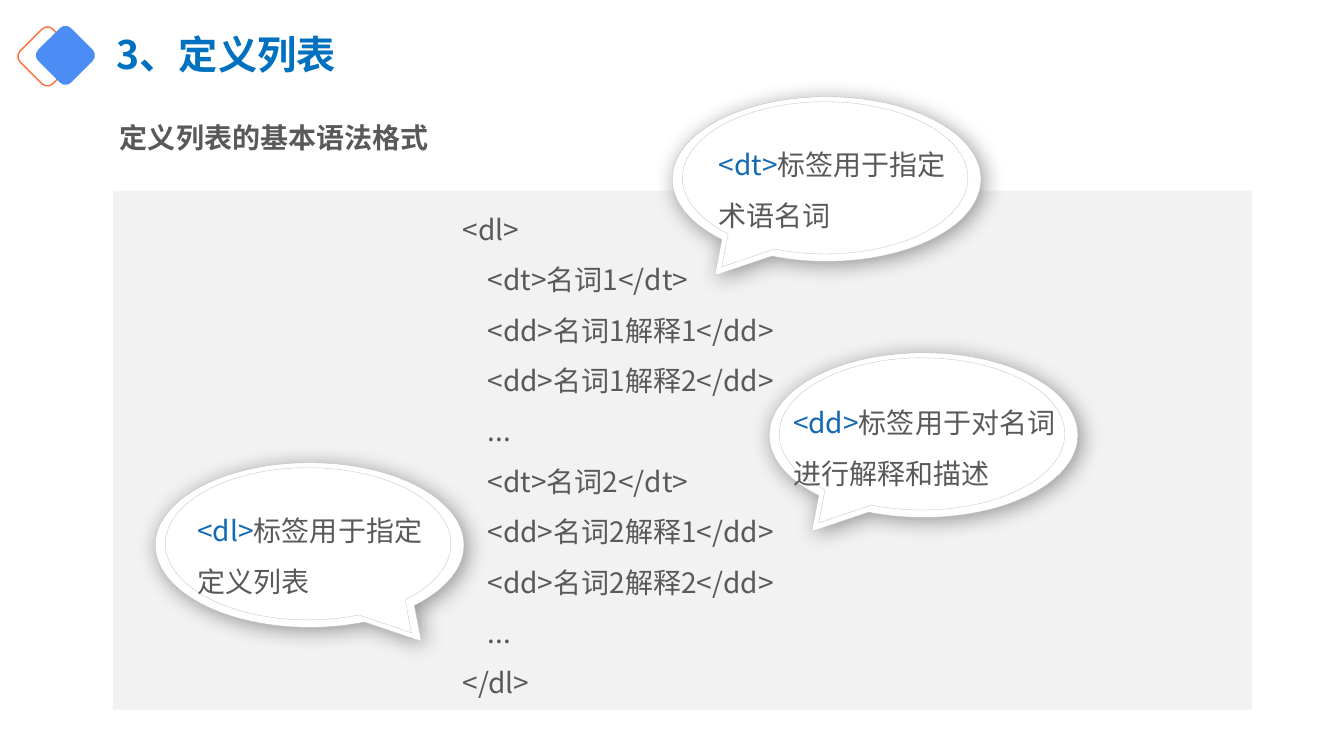
from lxml import etree
from pptx import Presentation
from pptx.dml.color import RGBColor
from pptx.enum import dml, shapes, text
from pptx.oxml import ns
from pptx.util import Pt

FONT = "Noto Sans CJK SC"
GREY, BLUE, TAG_BLUE, EDGE = "595959", "0070C0", "1369B2", "BFBFBF"

# Content
TITLE = "3、定义列表"
SUBTITLE = "定义列表的基本语法格式"
CODE = [
    "<dl>",
    "    <dt>名词1</dt>",
    "    <dd>名词1解释1</dd>",
    "    <dd>名词1解释2</dd>",
    "    ...",
    "    <dt>名词2</dt>",
    "    <dd>名词2解释1</dd>",
    "    <dd>名词2解释2</dd>",
    "    ...",
    "</dl>",
]
# tag, explanation, left, top, tail side (-1 left, 1 right), text offset, text width
CALLOUTS = [
    ("<dl>", "标签用于指定定义列表", 110.9, 330.5, 1, (23, 20.9), 181.4),
    ("<dt>", "标签用于指定术语名词", 480.2, 69.1, -1, (26, 20.9), 181.4),
    ("<dd>", "标签用于对名词进行解释和描述", 549.4, 252, -1, (10, 22.3), 203),
]
# left, top, fill, line
DIAMONDS = [(17.3, 23.8, None, "FD703B"), (30.2, 23, "4C8CF5", None)]

# Layout in points
DIAMOND_SIZE = 33.1
CALLOUT_SIZE = (220.5, 117.6)
INNER_SIZE = (204, 108.7)
INNER_OFFSET = (7.2, 3.6)
PANEL = (80.6, 136.1, 813.6, 370.8)


def color(value):
    return RGBColor.from_string(value)


def add_shape(parent, kind, left, top, width, height, fill=None, line=None, weight=1):
    shape = parent.add_shape(kind, Pt(left), Pt(top), Pt(width), Pt(height))
    shape.shadow.inherit = False
    if fill:
        shape.fill.solid()
        shape.fill.fore_color.rgb = color(fill)
    else:
        shape.fill.background()
    if line:
        shape.line.color.rgb = color(line)
        shape.line.width = Pt(weight)
    else:
        shape.line.fill.background()
    return shape


def add_text(parent, left, top, width, height, paragraphs, size=20, bold=False, spacing=1.5):
    """Each paragraph is a list of (words, colour) spans."""
    box = parent.add_textbox(Pt(left), Pt(top), Pt(width), Pt(height))
    frame = box.text_frame
    frame.word_wrap = True
    for index, spans in enumerate(paragraphs):
        para = frame.paragraphs[0] if index == 0 else frame.add_paragraph()
        para.line_spacing = spacing
        for words, ink in spans:
            span = para.add_run()
            span.text = words
            span.font.size = Pt(size)
            span.font.bold = bold
            span.font.color.rgb = color(ink)
            span.font.name = FONT
            east_asian = etree.SubElement(span.font._element, ns.qn("a:ea"))
            east_asian.set("typeface", FONT)
    return frame


def add_shadow(shape):
    effects = shape._element.spPr.find(ns.qn("a:effectLst"))
    shadow = etree.SubElement(effects, ns.qn("a:outerShdw"), blurRad=str(Pt(16)),
                              dist=str(Pt(3)), dir="2700000", algn="tl", rotWithShape="0")
    black = etree.SubElement(shadow, ns.qn("a:srgbClr"), val="000000")
    etree.SubElement(black, ns.qn("a:alpha"), val="40000")


def add_bubble(parent, left, top, size, side):
    bubble = add_shape(parent, shapes.MSO_SHAPE.OVAL_CALLOUT, left, top, *size,
                       fill="FFFFFF", line=EDGE, weight=0.25)
    bubble.adjustments[0] = 0.362 * side
    bubble.adjustments[1] = 0.585
    return bubble


def add_callout(page, tag, words, left, top, side, offset, width):
    group = page.shapes.add_group_shape().shapes
    add_shadow(add_bubble(group, left, top, CALLOUT_SIZE, side))
    inner = add_bubble(group, left + INNER_OFFSET[0], top + INNER_OFFSET[1], INNER_SIZE, side)
    inner.line.dash_style = dml.MSO_LINE.SQUARE_DOT
    add_text(group, left + offset[0], top + offset[1], width, 79.9,
             [[(tag, TAG_BLUE), (words, GREY)]])


def main():
    deck = Presentation()
    deck.slide_width, deck.slide_height = Pt(960), Pt(540)
    page = deck.slides.add_slide(deck.slide_layouts[6])

    # Heading with its diamonds
    for left, top, fill, line in DIAMONDS:
        diamond = add_shape(page.shapes, shapes.MSO_SHAPE.ROUNDED_RECTANGLE, left, top,
                            DIAMOND_SIZE, DIAMOND_SIZE, fill, line)
        diamond.rotation = 45
    title = add_text(page.shapes, 76.3, 12.2, 369.4, 56.9, [[(TITLE, BLUE)]], 28, True, 0.9)
    title.vertical_anchor = text.MSO_ANCHOR.MIDDLE

    # Code panel
    add_shape(page.shapes, shapes.MSO_SHAPE.RECTANGLE, *PANEL, fill="F2F2F2")
    add_text(page.shapes, 323.3, PANEL[1], 310.3, PANEL[3], [[(line, GREY)] for line in CODE])

    # Callouts
    for callout in CALLOUTS:
        add_callout(page, *callout)

    # Subtitle
    subtitle = add_text(page.shapes, 76.3, 69.1, 624.2, 46.1, [[(SUBTITLE, GREY)]], bold=True)
    subtitle.margin_left = subtitle.margin_right = Pt(9.4)
    subtitle.margin_top = subtitle.margin_bottom = Pt(5)
    subtitle.paragraphs[0].alignment = text.PP_ALIGN.JUSTIFY

    deck.save("out.pptx")


if __name__ == "__main__":
    main()
